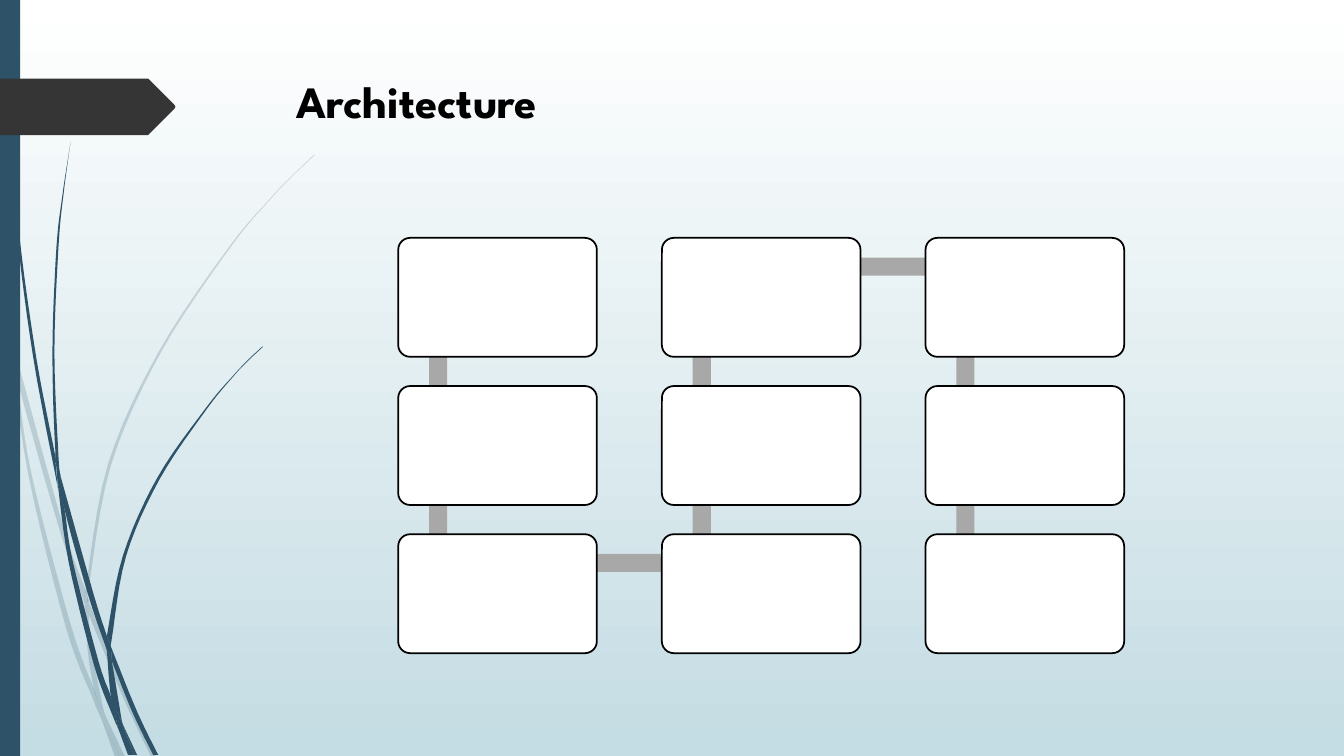
from lxml import etree
from pptx import Presentation
from pptx.dml.color import RGBColor
from pptx.enum.shapes import MSO_SHAPE
from pptx.enum.text import MSO_ANCHOR, MSO_AUTO_SIZE, PP_ALIGN
from pptx.oxml.ns import qn
from pptx.util import Inches, Pt

RECT, ROUND = MSO_SHAPE.RECTANGLE, MSO_SHAPE.ROUNDED_RECTANGLE
LEFT, TOP, NO_FIT = PP_ALIGN.LEFT, MSO_ANCHOR.TOP, MSO_AUTO_SIZE.NONE

WHITE = RGBColor(0xFF, 0xFF, 0xFF)
BLACK = RGBColor(0, 0, 0)
MIST = RGBColor(0xC4, 0xDC, 0xE3)
NAVY = RGBColor(0x2E, 0x53, 0x69)
COAL = RGBColor(0x35, 0x35, 0x35)
GREY = RGBColor(0xA8, 0xA8, 0xA8)

WIDE, HIGH = 13.33, 7.5

# Card grid: first card, steps between cards, card size, link start in a card
GRID_X, GRID_Y = 3.95, 2.36
STEP_X, STEP_Y = 2.615, 1.47
CARD_W, CARD_H = 1.97, 1.18
LINK_X, LINK_Y = 0.395, 0.285
THICK = 0.18
ROWS = COLS = 3

# Grass blades in hundredths of an inch: each is a ring of edges.
# Several edges are curves; a single edge is a straight outline.
PALE = [
    [[(11, 350), (9, 322), (0, 282), (0, 299), (10, 344)]],
    [[(14, 345), (17, 376), (58, 522), (84, 599)],
     [(85, 586), (62, 520), (14, 345)]],
    [[(88, 596), (88, 610)], [(88, 610), (123, 694), (150, 751)],
     [(155, 751), (127, 692), (92, 607), (88, 596)]],
    [[(119, 751), (124, 751), (105, 711)]],
    [[(93, 683), (70, 619), (31, 469), (17, 376), (11, 350)],
     [(11, 350), (28, 470), (65, 621), (92, 693), (101, 714)],
     [(99, 707), (93, 683)]],
    [[(84, 599), (87, 646), (93, 683), (96, 692), (105, 711)],
     [(103, 706), (91, 646), (88, 610), (88, 608)]],
    [[(88, 596), (88, 584), (110, 462), (160, 349), (229, 245),
      (268, 198), (290, 175), (312, 154)],
     [(312, 153), (289, 175), (268, 197), (228, 244), (158, 348),
      (107, 461), (85, 584), (85, 586)]],
    [[(101, 714), (114, 751), (119, 751)]],
    [[(88, 608), (88, 610), (88, 596), (85, 586), (84, 599)]],
    [[(96, 692), (93, 683), (99, 707), (101, 714), (119, 751), (105, 711)]],
]
DARK = [
    [[(3, 0), (4, 48), (7, 110), (17, 233), (33, 355), (56, 477), (57, 481)],
     [(55, 457), (55, 453), (36, 355), (19, 232), (8, 109), (5, 48), (4, 0)]],
    [[(60, 472), (64, 505), (88, 592), (106, 645)],
     [(106, 633), (106, 631), (93, 590), (60, 472)]],
    [[(110, 641), (111, 656)], [(111, 656), (132, 708), (152, 749)],
     [(157, 749), (136, 706), (113, 649), (110, 641)]],
    [[(57, 477), (68, 557), (93, 659), (111, 708), (117, 722)],
     [(116, 717), (110, 691), (98, 657), (72, 556), (64, 505), (57, 477)]],
    [[(60, 472), (58, 453), (54, 349), (58, 245), (63, 193), (70, 141)],
     [(70, 141), (62, 193), (56, 245), (52, 349), (55, 449), (60, 472)]],
    [[(133, 749), (136, 749), (122, 719)]],
    [[(57, 477), (64, 505), (60, 472), (55, 449), (55, 453)]],
    [[(110, 641), (111, 633), (125, 552), (158, 476), (205, 406),
      (231, 374), (245, 359), (261, 344)],
     [(260, 344), (245, 358), (231, 373), (204, 405), (156, 474),
      (122, 551), (106, 631)]],
    [[(117, 722), (127, 749), (131, 749)]],
    [[(106, 645), (110, 691), (116, 706), (122, 719)],
     [(121, 716), (111, 656), (109, 651)]],
    [[(106, 645), (109, 651), (111, 656), (110, 641), (106, 631), (106, 633)]],
    [[(116, 706), (110, 691), (116, 717), (117, 722), (130, 749),
      (133, 749), (122, 719)]],
]
TAB = [[(0, 78), (147, 78), (149, 80), (173, 104), (174, 106),
        (173, 108), (149, 132), (147, 134), (0, 134)]]


def paint(shape, fill, line=None, alpha=None):
    shape.shadow.inherit = False
    shape.fill.solid()
    shape.fill.fore_color.rgb = fill
    if alpha:
        tint = shape.fill._xPr.find(".//" + qn("a:srgbClr"))
        etree.SubElement(tint, qn("a:alpha"), val=str(alpha * 1000))
    if line:
        shape.line.color.rgb = line
        shape.line.width = Pt(1.25)
    else:
        shape.line.fill.background()


def block(shapes, kind, box, fill, line=None):
    shape = shapes.add_shape(kind, *[Inches(n) for n in box])
    paint(shape, fill, line)
    return shape


def curve(knots, parts=6):
    """Points of a smooth line through the knots."""
    ends = [knots[0], *knots, knots[-1]]
    dots = []
    for a, b, c, d in zip(ends, ends[1:], ends[2:], ends[3:]):
        for t in (i / parts for i in range(parts)):
            dots.append(tuple(
                q + t * (r - p) / 2 + t * t * (p - 2.5 * q + 2 * r - s / 2)
                + t ** 3 * (3 * (q - r) + s - p) / 2
                for p, q, r, s in zip(a, b, c, d)))
    return dots + [knots[-1]]


def blade(shapes, edges, fill, alpha=None):
    smooth = len(edges) > 1
    dots = [dot for edge in edges for dot in (curve(edge) if smooth else edge)]
    fine = [(x * 10, y * 10) for x, y in dots]
    pen = shapes.build_freeform(*fine[0], scale=914.4)
    pen.add_line_segments(fine[1:], close=True)
    paint(pen.convert_to_shape(), fill, alpha=alpha)


def heading(slide, text):
    title = slide.shapes.title
    title.left, title.top = Inches(2.84), Inches(0.68)
    title.width, title.height = Inches(9.75), Inches(1.4)
    frame = title.text_frame
    frame.text = text
    for name, value in {"vertical_anchor": TOP, "auto_size": NO_FIT,
                        "word_wrap": True}.items():
        setattr(frame, name, value)
    line = frame.paragraphs[0]
    line.alignment = LEFT
    font = line.runs[0].font
    for name, value in {"name": "League Spartan", "size": Pt(32),
                        "bold": True}.items():
        setattr(font, name, value)
    font.color.rgb = BLACK


def link(shapes, start, end):
    """Bar between the link points of two neighbouring cards."""
    (c1, r1), (c2, r2) = start, end
    length = STEP_Y if c1 == c2 else STEP_X
    mid_x = GRID_X + LINK_X + STEP_X * (c1 + c2) / 2
    mid_y = GRID_Y + LINK_Y + STEP_Y * (r1 + r2) / 2
    bar = block(shapes, RECT, (mid_x - length / 2, mid_y - THICK / 2,
                               length, THICK), GREY)
    bar.rotation = 90 * (r2 - r1) % 360


def card(shapes, col, row):
    box = (GRID_X + col * STEP_X, GRID_Y + row * STEP_Y, CARD_W, CARD_H)
    block(shapes, ROUND, box, WHITE, BLACK).adjustments[0] = 0.1


def main():
    deck = Presentation()
    deck.slide_width, deck.slide_height = Inches(WIDE), Inches(HIGH)
    slide = deck.slides.add_slide(deck.slide_layouts[5])
    shapes = slide.shapes

    # Background fading downwards
    back = slide.background.fill
    back.gradient()
    back.gradient_angle = 270
    for stop, tone in zip(back.gradient_stops, (WHITE, MIST)):
        stop.color.rgb = tone

    # Grass, side band and tab
    for tuft, alpha in ((PALE, 20), (DARK, None)):
        group = shapes.add_group_shape()
        for edges in tuft:
            blade(group.shapes, edges, NAVY, alpha)
    block(shapes, RECT, (0, 0, WIDE * 0.015, HIGH), NAVY)
    blade(shapes, TAB, COAL)

    heading(slide, "Architecture")

    # Cards snake down, up and down again
    snake = [(col, row if col % 2 == 0 else ROWS - 1 - row)
             for col in range(COLS) for row in range(ROWS)]
    flow = shapes.add_group_shape().shapes
    for here, after in zip(snake, snake[1:]):
        link(flow, here, after)
        card(flow, *here)
    card(flow, *snake[-1])

    deck.save("out.pptx")


if __name__ == "__main__":
    main()
